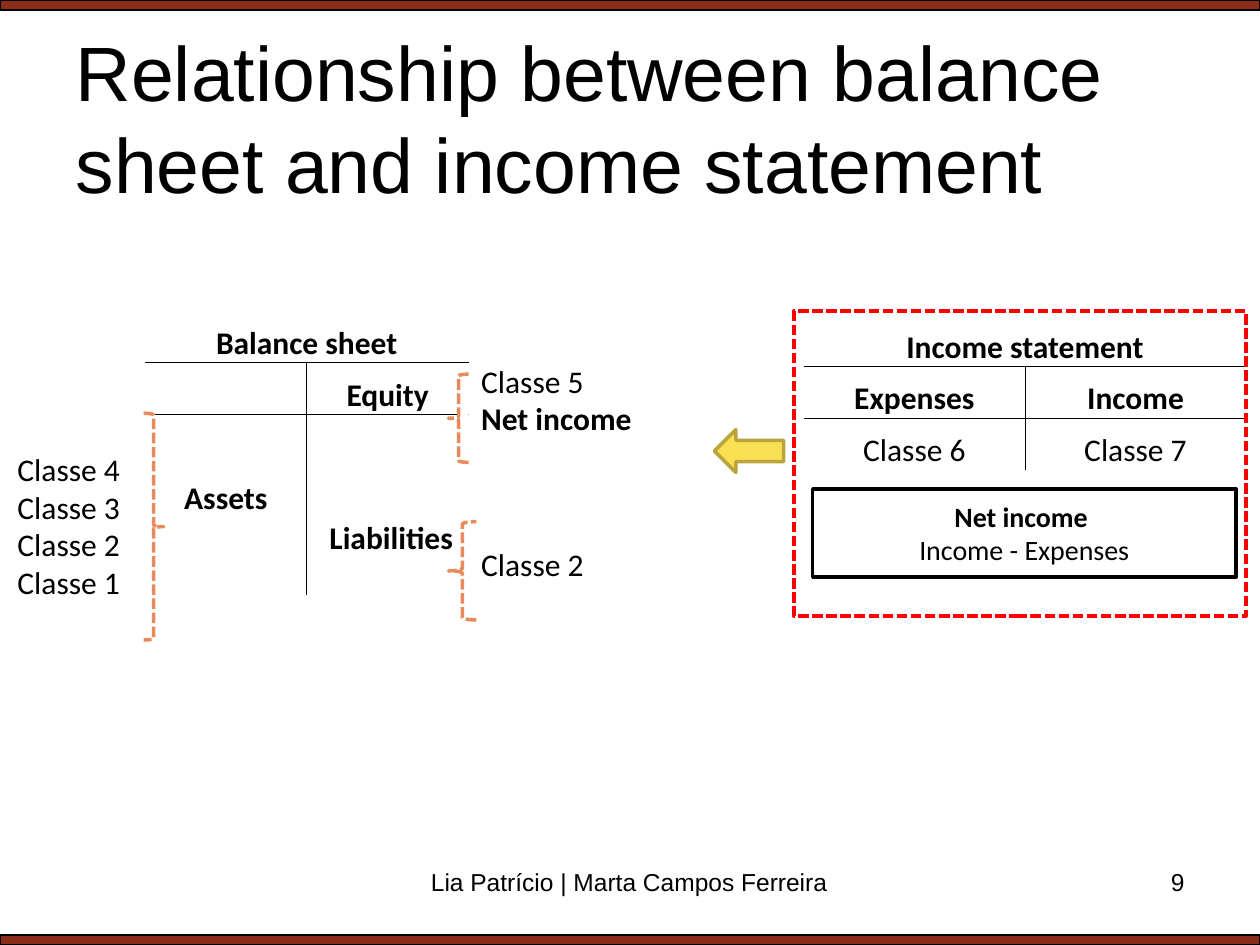
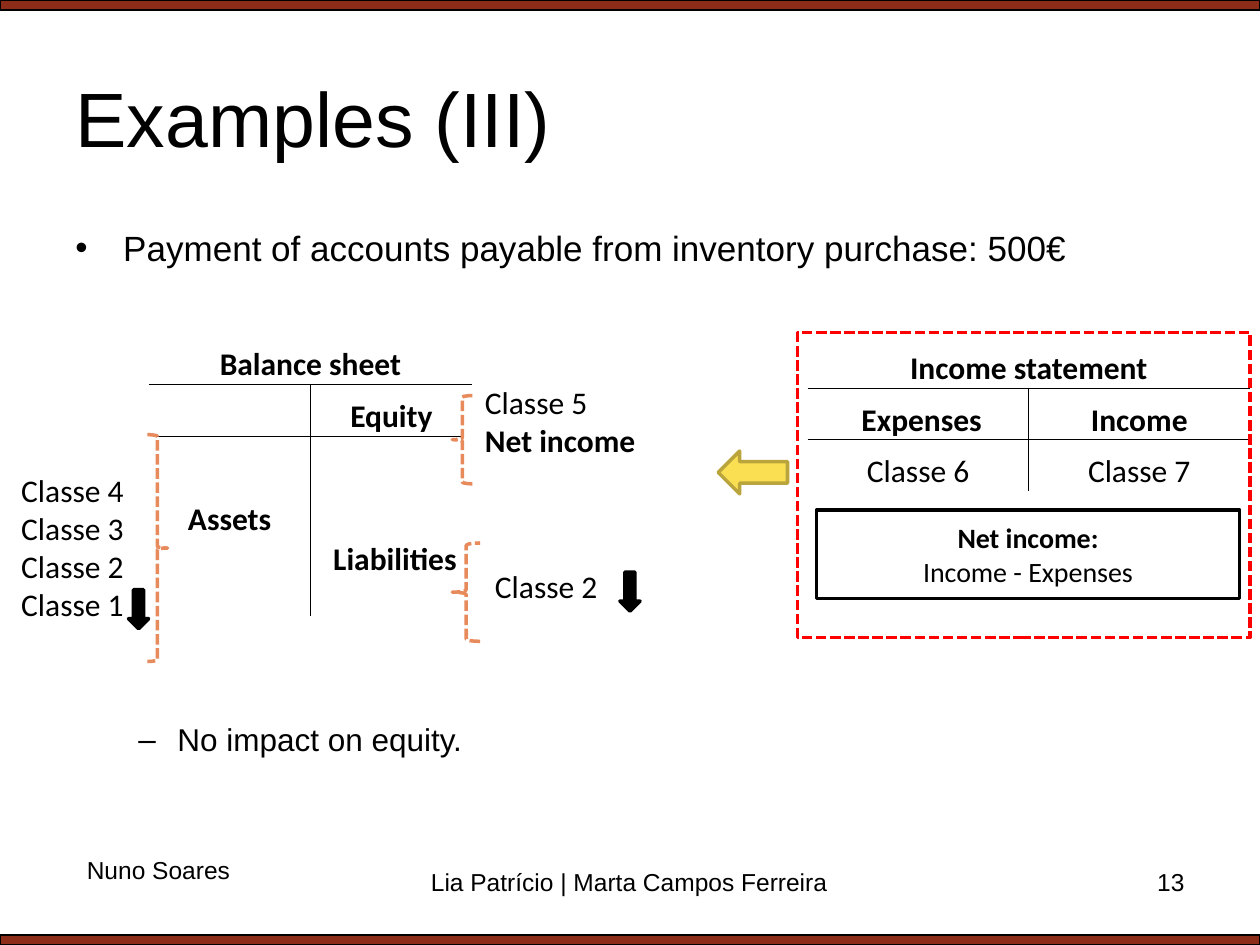
from lxml import etree
from pptx import Presentation
from pptx.dml.color import RGBColor
from pptx.enum.dml import MSO_LINE
from pptx.enum.shapes import MSO_SHAPE
from pptx.enum.text import MSO_ANCHOR, MSO_AUTO_SIZE, PP_ALIGN
from pptx.oxml.ns import qn
from pptx.util import Inches, Pt

RECT = MSO_SHAPE.RECTANGLE
OPEN, CLOSE = MSO_SHAPE.LEFT_BRACE, MSO_SHAPE.RIGHT_BRACE
BACK, DOWN = MSO_SHAPE.LEFT_ARROW, MSO_SHAPE.DOWN_ARROW
LEFT, MID, RIGHT = PP_ALIGN.LEFT, PP_ALIGN.CENTER, PP_ALIGN.RIGHT
TOP, HALF, BASE = MSO_ANCHOR.TOP, MSO_ANCHOR.MIDDLE, MSO_ANCHOR.BOTTOM
DASH = MSO_LINE.SQUARE_DOT
FIXED = MSO_AUTO_SIZE.NONE

COLS, ROWS = 100, 75
UNIT = Inches(0.1)
HEX = {
    "ink": "000000",
    "paper": "FFFFFF",
    "band": "8C2D19",
    "brace": "E78A5C",
    "frame": "FF0000",
    "gold": "FBDF53",
    "rim": "BAA53D",
}
PLAIN = "{2D5ABB26-0587-4C30-8999-92F81FD0307C}"
SERIF_FREE, TABLE_FONT = "Arial", "Calibri"
AUTHORS = "Lia Patrício | Marta Campos Ferreira"


def rgb(name):
    return RGBColor.from_string(HEX[name])


def grid(*cells):
    return [round(cell * UNIT) for cell in cells]


def write(frame, lines, font=TABLE_FONT, size=18, bold=(), align=LEFT):
    for i, line in enumerate(lines):
        para = frame.paragraphs[0] if i == 0 else frame.add_paragraph()
        para.alignment = align
        run = para.add_run()
        run.text = line
        run.font.name, run.font.size = font, Pt(size)
        run.font.bold = i in bold
        run.font.color.rgb = rgb("ink")


def label(slide, at, lines, wrap=False, **style):
    frame = slide.shapes.add_textbox(*grid(*at)).text_frame
    frame.word_wrap = wrap
    frame.auto_size = FIXED
    write(frame, lines, **style)
    return frame


def draw(slide, kind, at, fill=None, line="ink", width=2, dash=None):
    shape = slide.shapes.add_shape(kind, *grid(*at))
    shape.shadow.inherit = False
    if fill:
        shape.fill.solid()
        shape.fill.fore_color.rgb = rgb(fill)
    else:
        shape.fill.background()
    shape.line.color.rgb = rgb(line)
    shape.line.width = Pt(width)
    if dash:
        shape.line.dash_style = dash
    return shape


def brace(slide, kind, at):
    draw(slide, kind, at, fill="paper", line="brace", dash=DASH)


def rule(cell, *sides):
    props = cell._tc.get_or_add_tcPr()
    for i, side in enumerate(sides):
        edge = etree.Element(qn(f"a:ln{side}"), w=str(Pt(0.5)))
        fill = etree.SubElement(edge, qn("a:solidFill"))
        etree.SubElement(fill, qn("a:srgbClr"), val=HEX["ink"])
        props.insert(i, edge)


def account(slide, at, wide, highs, rows, plain=(), high=()):
    left, top = at
    frame = slide.shapes.add_table(
        len(rows), 2, *grid(left, top, 2 * wide, sum(highs)))
    next(frame.element.iter(qn("a:tableStyleId"))).text = PLAIN
    table = frame.table
    table.first_row = table.horz_banding = False
    for col in table.columns:
        col.width = grid(wide)[0]
    for r, texts in enumerate(rows):
        table.rows[r].height = grid(highs[r])[0]
        for c, text in enumerate(texts):
            cell = table.cell(r, c)
            cell.fill.background()
            cell.margin_left = cell.margin_right = Inches(0.01)
            cell.margin_top, cell.margin_bottom = Inches(0.01), 0
            cell.vertical_anchor = TOP if r in high else BASE
            if text:
                write(cell.text_frame, [text], align=MID,
                      bold=() if r in plain else (0,))
            if r == 0:
                rule(cell, "B")
            else:
                side = "L" if c else "R"
                rule(cell, *([side, "T"] if r == 1 else [side]))
    table.cell(0, 0).merge(table.cell(0, 1))


def sheet(slide, x, y, debt):
    rows = [("Balance sheet", ""), ("", "Equity"), ("", ""),
            ("Assets", ""), ("", "\u00a0Liabilities")]
    account(slide, (x + 11.5, y + 24.7), 12.85, [4.1] * 4 + [6.1], rows,
            high=(4,))
    brace(slide, CLOSE, (x + 11.4, y + 32.8, 1.6, 18))
    label(slide, (x + 0.4, y + 35.2, 10.2, 13.1),
          [f"Classe {n}" for n in range(4, 0, -1)])
    brace(slide, OPEN, (x + 35.6, y + 41.4, 2.2, 7.8))
    label(slide, (debt, y + 42.8, 10.2, 4), ["Classe 2"])
    brace(slide, OPEN, (x + 35.6, y + 29.7, 1.6, 7))
    label(slide, (x + 37.2, y + 28.2, 14.1, 7.1),
          ["Classe 5", "Net income"], bold=(1,))


def income(slide, x, y, cost, net):
    rows = [("Income statement", ""), (cost, "Income"),
            ("Classe 6", "Classe 7")]
    account(slide, (x + 63.8, y + 25), 17.55, [4.1] * 3, rows, plain=(2,))
    box = draw(slide, RECT, (x + 64.5, y + 38.8, 33.6, 7))
    box.text_frame.vertical_anchor = HALF
    write(box.text_frame, [net, "Income - Expenses"], size=16, bold=(0,),
          align=MID)
    draw(slide, RECT, (x + 63, y + 24.7, 35.9, 24.2), line="frame", dash=DASH)
    draw(slide, BACK, (x + 56.7, y + 34.1, 5.5, 3.4), fill="gold", line="rim")


def start(deck, title, page):
    slide = deck.slides.add_slide(deck.slide_layouts[5])
    head = slide.shapes.title
    head.left, head.top, head.width, head.height = grid(5, 3, 90, 12.5)
    frame = head.text_frame
    frame.auto_size = FIXED
    frame.vertical_anchor = HALF
    write(frame, [title], font=SERIF_FREE, size=44)
    foot = {"wrap": True, "font": SERIF_FREE, "size": 14}
    label(slide, (71.7, 68.3, 23.3, 5.2), [str(page)], align=RIGHT, **foot)
    label(slide, (32.6, 68.3, 34.7, 5.2), [AUTHORS], align=MID, **foot)
    return slide


def bands(deck, slide):
    tree = deck.slide_master.element.cSld.spTree
    for i, top in enumerate((0, ROWS - 0.8)):
        band = draw(slide, RECT, (0, top, COLS, 0.8), fill="band", width=0.75)
        band.element.nvSpPr.cNvPr.set("id", str(101 + i))
        tree.append(band.element)


def bullet(para, mark, left, hang):
    props = para._p.get_or_add_pPr()
    props.set("marL", str(Inches(left)))
    props.set("indent", str(-Inches(hang)))
    etree.SubElement(props, qn("a:buFont"), typeface=SERIF_FREE)
    etree.SubElement(props, qn("a:buChar"), char=mark)


def notes(slide, event, effect):
    frame = label(slide, (5, 17.5, 90, 49.5), [event, effect], wrap=True,
                  font=SERIF_FREE)
    first, last = frame.paragraphs
    first.runs[0].font.size = Pt(20)
    last.level = 1
    last.space_before = Pt(258)
    bullet(first, "•", 0.38, 0.38)
    bullet(last, "–", 0.81, 0.31)


def main():
    deck = Presentation()
    deck.slide_width, deck.slide_height = grid(COLS, ROWS)

    slide = start(
        deck, "Relationship between balance sheet and income statement", 9)
    bands(deck, slide)
    sheet(slide, 0, 0, debt=37.2)
    income(slide, 0, 0, "Expenses", "Net income ")

    slide = start(deck, "Examples (III)", 13)
    notes(slide, "Payment of accounts payable from inventory purchase: 500€",
          "No impact on equity.")
    sheet(slide, 0.3, 1.7, debt=38.3)
    income(slide, 0.3, 1.7, "\u00a0Expenses", "Net income:")
    for left, top in ((10.2, 46.8), (49.2, 45.4)):
        draw(slide, DOWN, (left, top, 1.6, 3.1), fill="ink")
    label(slide, (5.9, 67.4, 13.5, 3.4), ["Nuno Soares"], font=SERIF_FREE,
          size=14)

    deck.save("out.pptx")


main()
